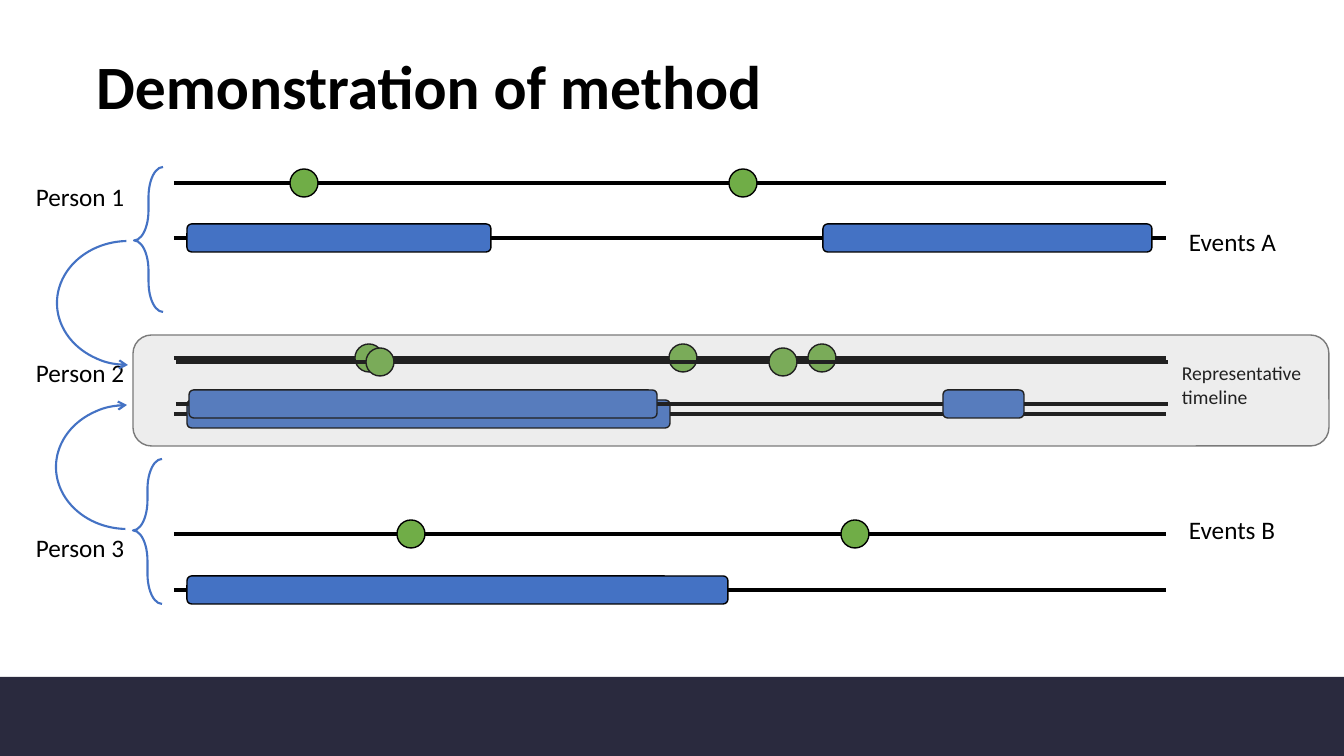
from lxml import etree
from pptx import Presentation
from pptx import util as u
from pptx.dml.color import RGBColor
from pptx.enum import shapes, text
from pptx.oxml.ns import qn

PX = 12192000 / 1344
FONT = "Calibri"
BLACK, BLUE, GREEN, NAVY = "000000", "4472C4", "70AD47", "2A2A3E"
KIND = shapes.MSO_SHAPE
MARK = 28  # height of every bar and dot
AXIS_LEFT, AXIS_WIDTH = 174, 992

# Top, axis shift, kind, then (left, width) of each event; back to front
TIMELINES = [
    (414, 0, "bar", [(187, 483)]),
    (590, 0, "bar", [(187, 541)]),
    (238, 0, "bar", [(187, 304), (823, 329)]),
    (183, 0, "dot", [(290, MARK), (729, MARK)]),
    (534, 0, "dot", [(397, MARK), (841, MARK)]),
    (358, 0, "dot", [(669, MARK), (808, MARK), (355, MARK)]),
    (404, 2, "bar", [(943, 81), (189, 468)]),
    (362, 2, "dot", [(366, MARK), (769, MARK)]),
]
LABELS = [
    ("Person 1", 26, 176),
    ("Person 2", 26, 352),
    ("Person 3", 26, 527),
    ("Events A", 1179, 221),
    ("Events B", 1179, 509),
]


def px(*lengths):
    return [round(n * PX) for n in lengths]


def color(hex_code):
    return RGBColor.from_string(hex_code)


def add_shape(slide, kind, box, fill=None, line=None, width=1):
    s = slide.shapes.add_shape(kind, *px(*box))
    s.shadow.inherit = False
    if fill:
        s.fill.solid()
        s.fill.fore_color.rgb = color(fill)
    else:
        s.fill.background()
    if line:
        s.line.color.rgb = color(line)
        s.line.width = u.Pt(width)
    else:
        s.line.fill.background()
    return s


def format_text(tf, size, bold=False):
    tf.word_wrap = True
    for p in tf.paragraphs:
        for r in p.runs:
            r.font.name = FONT
            r.font.size = u.Pt(size)
            r.font.bold = bold
            r.font.color.rgb = color(BLACK)


def add_label(slide, words, box, size=18):
    tf = slide.shapes.add_textbox(*px(*box)).text_frame
    tf.text = words
    format_text(tf, size)


def add_title(slide, words, box):
    title = slide.shapes.title
    title.left, title.top, title.width, title.height = px(*box)
    tf = title.text_frame
    tf.text = words
    tf.auto_size = text.MSO_AUTO_SIZE.NONE
    tf.vertical_anchor = text.MSO_ANCHOR.BOTTOM
    p = tf.paragraphs[0]
    p.alignment = text.PP_ALIGN.LEFT
    p.line_spacing = 0.9
    format_text(tf, 44, bold=True)


def add_timeline(slide, y, shift, kind, events):
    """Draw an axis centred on y with its bars or dots on top."""
    left = AXIS_LEFT + shift
    axis = slide.shapes.add_connector(
        shapes.MSO_CONNECTOR.STRAIGHT, *px(left, y, left + AXIS_WIDTH, y))
    axis.line.color.rgb = color(BLACK)
    axis.line.width = u.Pt(3)
    etree.SubElement(axis.element.spPr, qn("a:effectLst"))
    outline, fill = {"bar": (KIND.ROUNDED_RECTANGLE, BLUE),
                     "dot": (KIND.OVAL, GREEN)}[kind]
    for x, width in events:
        add_shape(slide, outline, (x, y - MARK / 2, width, MARK), fill, BLACK)


def add_brace_and_arc(slide, left, brace_top, arc_top, flipped=False):
    """Bracket one person's timelines and point an arc at the panel."""
    brace = add_shape(slide, KIND.LEFT_BRACE, (left, brace_top, 29, 145),
                      line=BLUE, width=1.5)
    brace.adjustments[0], brace.adjustments[1] = 1.04, 0.507
    arc = add_shape(slide, KIND.ARC, (left - 77, arc_top, 143, 124),
                    line=BLUE, width=1.5)
    arc.adjustments[0], arc.adjustments[1] = 54.261, 160.828
    ln = arc.element.spPr.find(qn("a:ln"))
    etree.SubElement(ln, qn("a:headEnd"), type="arrow")
    if flipped:
        for s in (brace, arc):
            s.element.spPr.find(qn("a:xfrm")).set("flipV", "1")


def add_panel(slide, box):
    """Lay a translucent panel over the representative timeline."""
    x, y, w, h = box
    add_label(slide, "Representative timeline", (x + w - 157, y + 21, 171, 57), 14)
    panel = add_shape(slide, KIND.ROUNDED_RECTANGLE, box, "A5A5A5", "7A7A7A")
    fill = panel.element.spPr.find(qn("a:solidFill"))
    etree.SubElement(fill[0], qn("a:alpha"), val="20000")


def main():
    prs = Presentation()
    prs.slide_width, prs.slide_height = px(1344, 756)
    slide = prs.slides.add_slide(prs.slide_layouts[5])
    add_shape(slide, KIND.RECTANGLE, (0, 677, 1344, 79), NAVY)
    add_title(slide, "Demonstration of method", (86, 0, 1258, 128))
    for timeline in TIMELINES:
        add_timeline(slide, *timeline)
    for words, x, y in LABELS:
        add_label(slide, words, (x, y, 134, 40))
    add_brace_and_arc(slide, 134, 167, 241)
    add_brace_and_arc(slide, 133, 459, 405, flipped=True)
    add_panel(slide, (133, 335, 1196, 111))
    prs.save("out.pptx")


if __name__ == "__main__":
    main()
